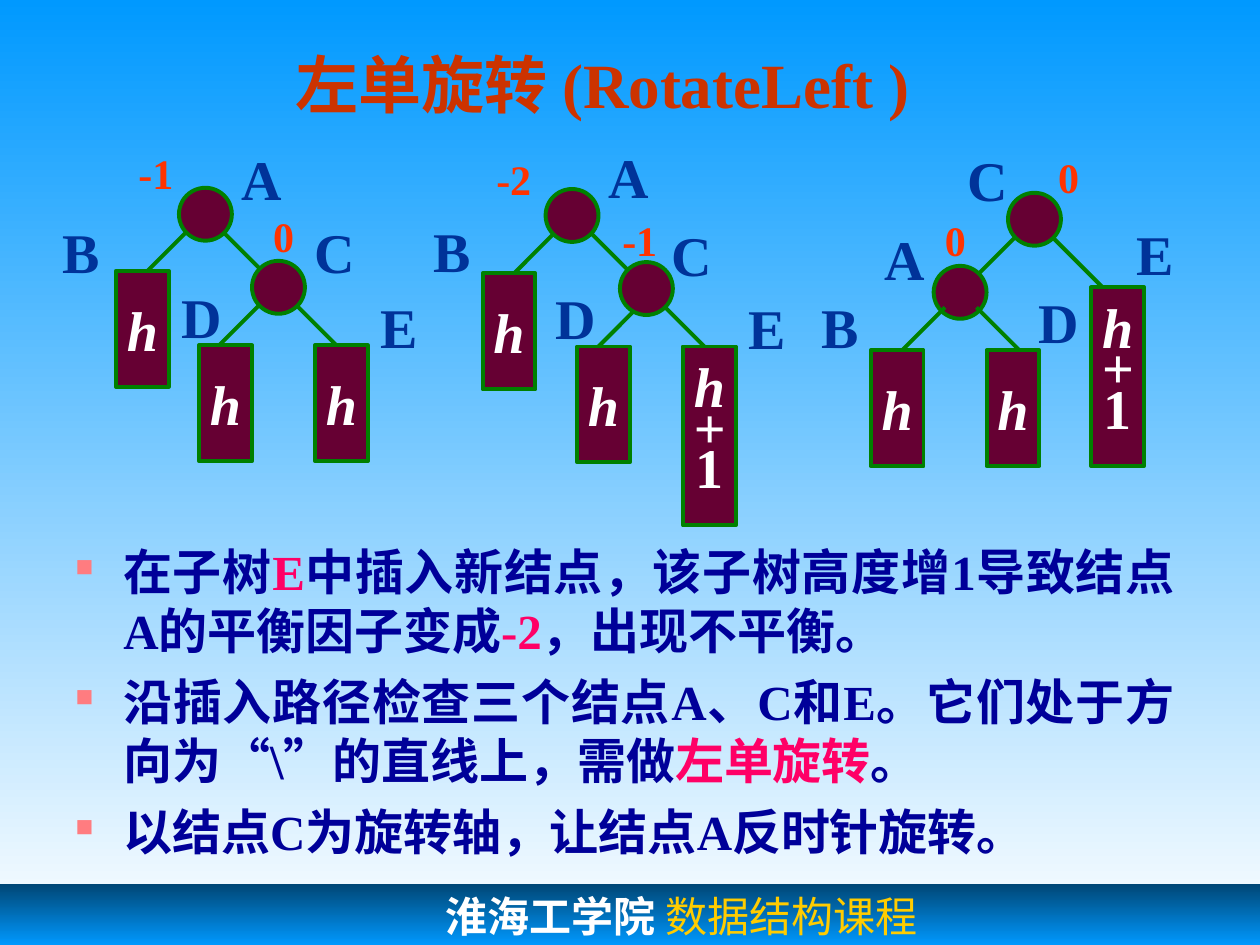
"""Build the slide on the left single rotation of a balanced binary tree."""
from copy import deepcopy
from dataclasses import dataclass

from lxml.etree import SubElement
from pptx import Presentation
from pptx.dml.color import RGBColor
from pptx.enum.shapes import MSO_CONNECTOR, MSO_SHAPE
from pptx.enum.text import MSO_ANCHOR, MSO_AUTO_SIZE, PP_ALIGN
from pptx.oxml.ns import qn
from pptx.util import Inches, Pt


@dataclass(frozen=True)
class Theme:
    font: str = "Times New Roman"
    footer_font: str = "DejaVu Sans Mono"
    sky: str = "0099FF"
    deep: str = "004776"
    white: str = "FFFFFF"
    gold: str = "FFCC00"
    node: str = "660033"
    edge: str = "008000"
    letter: str = "003399"
    factor: str = "FF3300"
    title: str = "CC3300"
    body: str = "000099"
    accent: str = "FF0066"
    bullet: str = "FF7C80"
    title_size: int = 36
    letter_size: int = 32
    body_size: int = 28
    small_size: int = 24
    line: float = 2.25


@dataclass(frozen=True)
class Edge:
    x: float
    y: float
    dx: float
    front: bool = False


@dataclass(frozen=True)
class Subtree:
    x: float
    y: float
    rows: str = "h"


@dataclass(frozen=True)
class Label:
    text: str
    x: float
    y: float


@dataclass(frozen=True)
class Tree:
    edges: tuple[Edge, ...]
    nodes: tuple[tuple[float, float], ...]
    subtrees: tuple[Subtree, ...]
    letters: tuple[Label, ...]
    factors: tuple[Label, ...]


T = Theme()
NODE_SIZE = 0.42
LABEL_WIDTHS = {"B": 0.49, "E": 0.49, "0": 0.36, "-1": 0.48, "-2": 0.48}

TREES = (
    Tree(
        (Edge(1.75, 1.82, 0.5), Edge(2.33, 2.4, 0.5), Edge(1.5, 1.82, -0.42), Edge(2.08, 2.4, -0.42)),
        ((1.42, 1.49), (2, 2.07)),
        (Subtree(0.92, 2.15), Subtree(1.58, 2.74), Subtree(2.5, 2.74)),
        (Label("A", 1.82, 1.1), Label("C", 2.4, 1.68), Label("E", 2.92, 2.27),
         Label("B", 0.4, 1.68), Label("D", 1.34, 2.19)),
        (Label("-1", 1, 1.12), Label("0", 2.07, 1.62)),
    ),
    Tree(
        (Edge(5.17, 2.33, 0.5), Edge(5.17, 2.33, -0.42), Edge(4.42, 1.83, -0.42), Edge(4.58, 1.74, 0.5)),
        ((4.92, 2.08), (4.33, 1.5)),
        (Subtree(4.58, 2.75), Subtree(3.83, 2.17), Subtree(5.42, 2.75, "h+1")),
        (Label("B", 3.34, 1.67), Label("A", 4.73, 1.08), Label("C", 5.23, 1.7),
         Label("E", 5.84, 2.28), Label("D", 4.31, 2.2)),
        (Label("-2", 3.84, 1.17), Label("-1", 4.84, 1.65)),
    ),
    Tree(
        (Edge(8.25, 1.78, 0.5), Edge(8.08, 1.86, -0.42),
         Edge(7.5, 2.44, -0.42, True), Edge(7.75, 2.44, 0.5, True)),
        ((7.41, 2.11), (8, 1.53)),
        (Subtree(6.91, 2.78), Subtree(7.83, 2.78), Subtree(8.66, 2.28, "h+1")),
        (Label("C", 7.58, 1.11), Label("E", 8.92, 1.69), Label("A", 6.92, 1.73),
         Label("B", 6.42, 2.27), Label("D", 8.14, 2.23)),
        (Label("0", 7.4, 1.65), Label("0", 8.3, 1.15)),
    ),
)

BODY = (
    (("在子树", T.body), ("E", T.accent), ("中插入新结点，该子树高度增1导致结点A的平衡因子变成", T.body),
     ("-2", T.accent), ("，出现不平衡。", T.body)),
    (("沿插入路径检查三个结点A、C和E。它们处于方向为“\\”的直线上，需做", T.body),
     ("左单旋转", T.accent), ("。", T.body)),
    (("以结点C为旋转轴，让结点A反时针旋转。", T.body),),
)


def add_run(p, text: str, color: str, size: int, **extra) -> None:
    r = p.add_run()
    r.text = text
    fmt = {"name": T.font, "size": Pt(size), "bold": True} | extra
    for key, value in fmt.items():
        setattr(r.font, key, value)
    r.font.color.rgb = RGBColor.from_string(color)


def set_gradient(fill, element, *colors: str) -> None:
    fill.gradient()
    fill.gradient_angle = 270
    gs_list = element.find(".//" + qn("a:gsLst"))
    for _ in colors[2:]:
        gs_list.insert(1, deepcopy(gs_list[0]))
    for i, (stop, color) in enumerate(zip(fill.gradient_stops, colors)):
        stop.color.rgb = RGBColor.from_string(color)
        stop.position = i / (len(colors) - 1)


def add_box(s, x: float, y: float, w: float, h: float, **fmt):
    tf = s.shapes.add_textbox(Inches(x), Inches(y), Inches(w), Inches(h)).text_frame
    for key, value in ({"word_wrap": True} | fmt).items():
        setattr(tf, key, value)
    return tf


def add_label(s, label: Label, h: float, color: str, size: int) -> None:
    tf = add_box(s, label.x, label.y, LABEL_WIDTHS.get(label.text, 0.52), h,
                 word_wrap=False, auto_size=MSO_AUTO_SIZE.SHAPE_TO_FIT_TEXT)
    add_run(tf.paragraphs[0], label.text, color, size)


def add_edge(s, edge: Edge) -> None:
    ends = (edge.x, edge.y, edge.x + edge.dx, edge.y + abs(edge.dx))
    line = s.shapes.add_connector(MSO_CONNECTOR.STRAIGHT, *map(Inches, ends))
    line.line.color.rgb = RGBColor.from_string(T.edge)
    line.line.width = Pt(T.line)
    SubElement(line._element.spPr, qn("a:effectLst"))


def add_node(s, kind: MSO_SHAPE, x: float, y: float, h: float):
    sp = s.shapes.add_shape(kind, Inches(x), Inches(y), Inches(NODE_SIZE), Inches(h))
    sp.shadow.inherit = False
    sp.fill.solid()
    sp.fill.fore_color.rgb = RGBColor.from_string(T.node)
    sp.line.color.rgb = RGBColor.from_string(T.edge)
    sp.line.width = Pt(T.line)
    return sp


def add_subtree(s, subtree: Subtree) -> None:
    tall = len(subtree.rows) > 1
    tf = add_node(s, MSO_SHAPE.RECTANGLE, subtree.x, subtree.y, 1.42 if tall else 0.92).text_frame
    tf.word_wrap = False
    tf.vertical_anchor = MSO_ANCHOR.MIDDLE
    for i, row in enumerate(subtree.rows):
        p = tf.add_paragraph() if i else tf.paragraphs[0]
        p.alignment = PP_ALIGN.CENTER
        if tall:
            p.line_spacing = 0.6
        add_run(p, row, T.white, T.letter_size, italic=row != "1")


def add_tree(s, tree: Tree) -> None:
    for edge in (e for e in tree.edges if not e.front):
        add_edge(s, edge)
    for x, y in tree.nodes:
        add_node(s, MSO_SHAPE.OVAL, x, y, NODE_SIZE)
    for edge in (e for e in tree.edges if e.front):
        add_edge(s, edge)
    for subtree in tree.subtrees:
        add_subtree(s, subtree)
    for label in tree.letters:
        add_label(s, label, 0.64, T.letter, T.letter_size)
    for label in tree.factors:
        add_label(s, label, 0.5, T.factor, T.small_size)


def add_footer(s) -> None:
    sp = s.shapes.add_shape(MSO_SHAPE.RECTANGLE, 0, Inches(7.02), Inches(10), Inches(0.97))
    sp.shadow.inherit = False
    sp.line.fill.background()
    set_gradient(sp.fill, sp._element, T.deep, T.sky, T.deep)
    sp.text_frame.vertical_anchor = MSO_ANCHOR.TOP
    p = sp.text_frame.paragraphs[0]
    p.alignment = PP_ALIGN.LEFT
    p._p.get_or_add_pPr().set("marL", str(Inches(3.44)))
    add_run(p, "淮海工学院", T.white, T.small_size, name=T.footer_font)
    add_run(p, " 数据结构课程", T.gold, T.small_size, bold=False)


def add_bullet(p) -> None:
    pPr = p._p.get_or_add_pPr()
    pPr.set("marL", str(Inches(0.38)))
    pPr.set("indent", str(Inches(-0.38)))
    SubElement(SubElement(pPr, qn("a:buClr")), qn("a:srgbClr"), val=T.bullet)
    SubElement(pPr, qn("a:buSzPct"), val="50000")
    SubElement(pPr, qn("a:buChar"), char="■")


def add_body(s) -> None:
    tf = add_box(s, 0.5, 4.25, 8.92, 3)
    for i, runs in enumerate(BODY):
        p = tf.add_paragraph() if i else tf.paragraphs[0]
        add_bullet(p)
        p.alignment = PP_ALIGN.JUSTIFY
        if i:
            p.space_before = Pt(7)
        for text, color in runs:
            add_run(p, text, color, T.body_size)


def add_title(s) -> None:
    p = add_box(s, 2.25, 0.33, 5.17, 0.67, vertical_anchor=MSO_ANCHOR.MIDDLE).paragraphs[0]
    p.alignment = PP_ALIGN.JUSTIFY
    add_run(p, "左单旋转 (RotateLeft )", T.title, T.title_size)


def main() -> None:
    prs = Presentation()
    prs.slide_width, prs.slide_height = Inches(10), Inches(7.5)
    s = prs.slides.add_slide(prs.slide_layouts[6])
    set_gradient(s.background.fill, s._element, T.sky, T.white)
    add_footer(s)
    for tree in TREES:
        add_tree(s, tree)
    add_body(s)
    add_title(s)
    prs.save("out.pptx")


if __name__ == "__main__":
    main()
